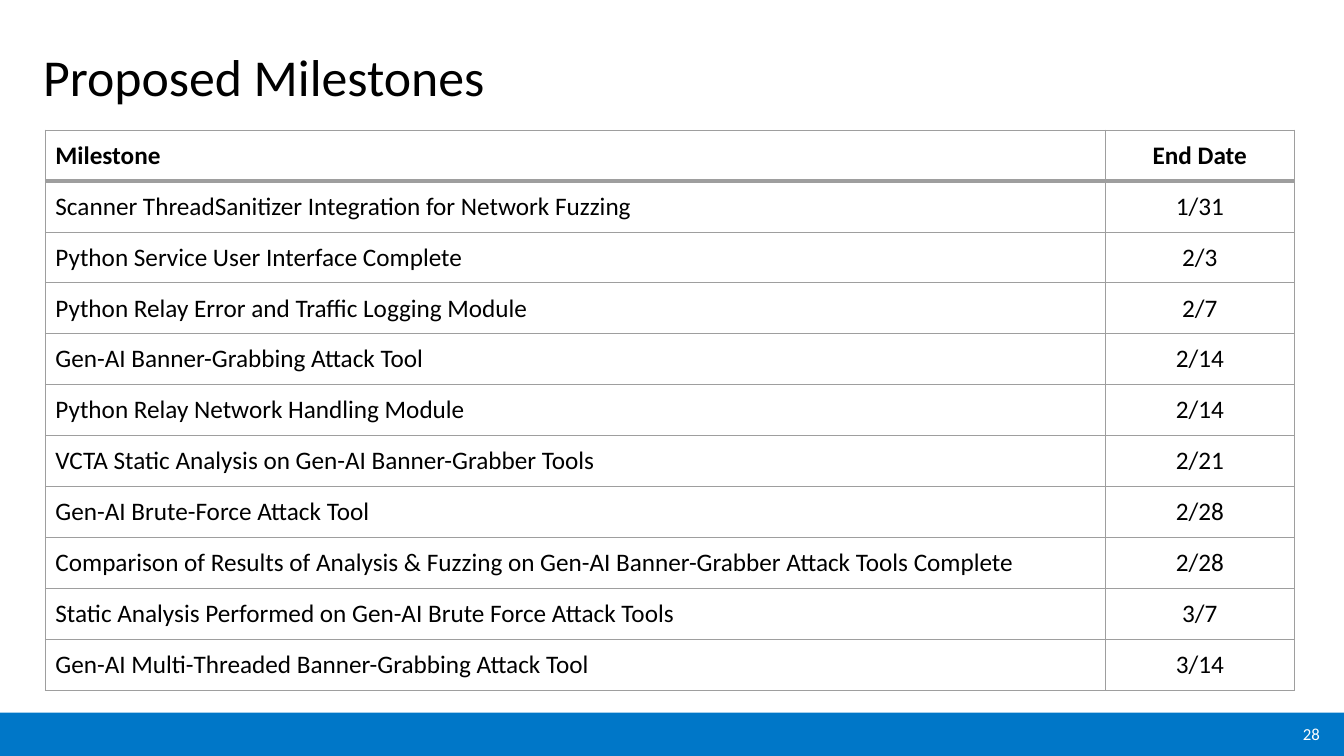
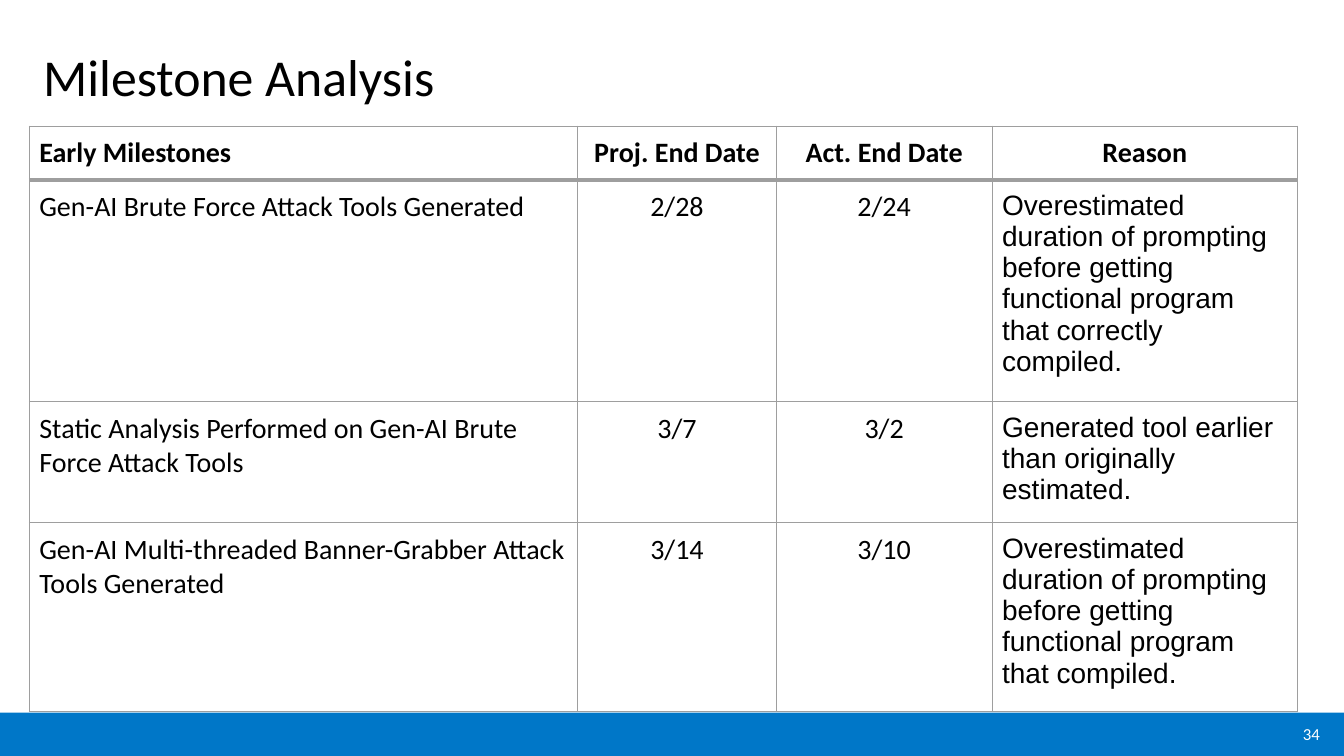
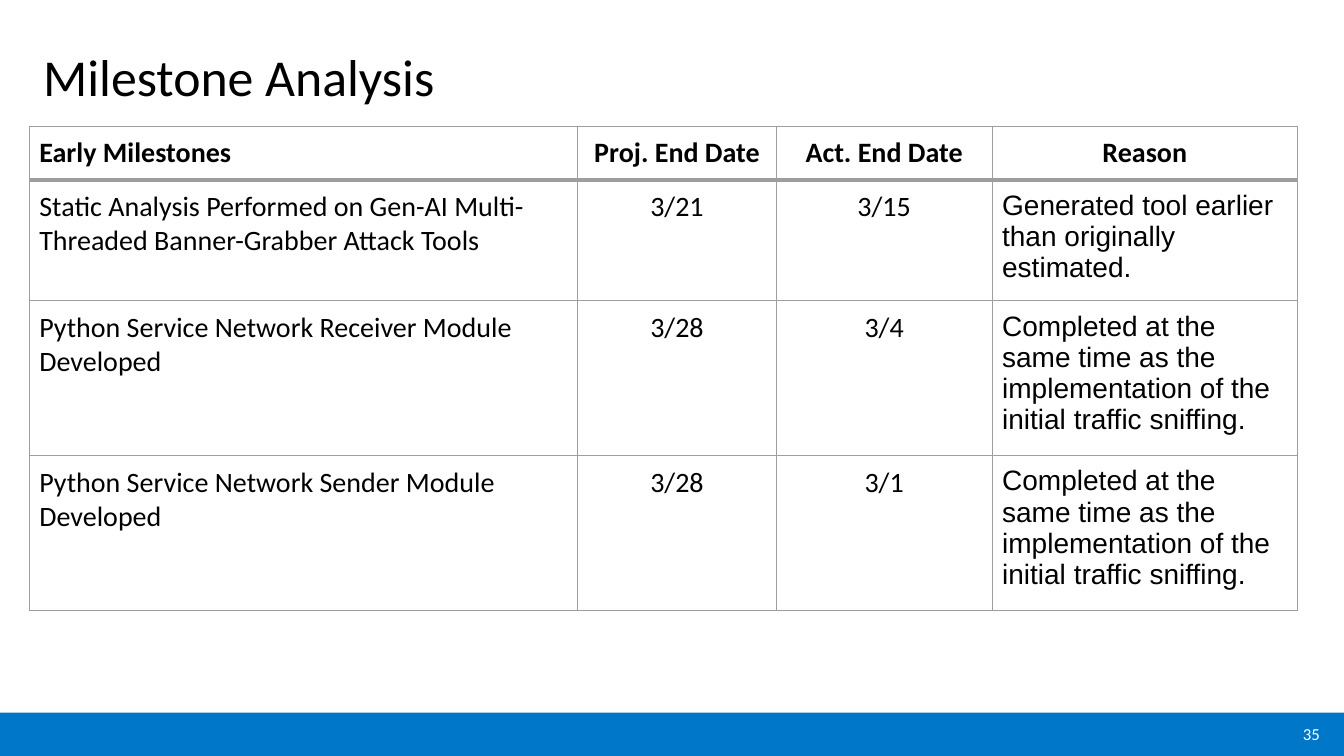
from dataclasses import dataclass
from typing import Any

from lxml.etree import SubElement
from pptx import Presentation
from pptx.dml.color import RGBColor
from pptx.enum.shapes import MSO_SHAPE
from pptx.enum.text import MSO_ANCHOR, PP_ALIGN
from pptx.oxml.ns import qn
from pptx.slide import Slide
from pptx.table import _Cell
from pptx.text.text import _Paragraph
from pptx.util import Inches, Pt


@dataclass(frozen=True)
class Theme:
    text: str = "000000"
    band: str = "0077C8"
    on_band: str = "FFFFFF"
    rule: str = "9E9E9E"
    font: str = "Calibri"
    reason_font: str = "Arial"
    title_size: float = 37
    number_size: float = 12
    thin_rule: float = 0.75
    header_rule: float = 3
    cell_margin: float = 0.1


THEME = Theme()


@dataclass(frozen=True)
class Column:
    heading: str
    width: float
    heading_align: PP_ALIGN = PP_ALIGN.CENTER
    body_align: PP_ALIGN = PP_ALIGN.CENTER
    body_font: str = THEME.font


@dataclass(frozen=True)
class TableLayout:
    left: float
    top: float
    size: float
    columns: tuple[Column, ...]


@dataclass(frozen=True)
class MilestoneSlide:
    title: str
    number: int
    layout: TableLayout
    row_heights: tuple[float, ...]
    rows: tuple[tuple[str, ...], ...]


PROPOSED = TableLayout(0.45, 1.29, 18, (
    Column("Milestone", 10.51, PP_ALIGN.LEFT, PP_ALIGN.LEFT),
    Column("End Date", 1.88),
))
ANALYSIS = TableLayout(0.29, 1.25, 20, (
    Column("Early Milestones", 5.44, PP_ALIGN.LEFT, PP_ALIGN.LEFT),
    Column("Proj. End Date", 1.97),
    Column("Act. End Date", 2.14),
    Column("Reason", 3.03, body_align=PP_ALIGN.LEFT, body_font=THEME.reason_font),
))

EARLIER_TOOL = "Generated tool earlier than originally estimated."
SAME_TIME = "Completed at the same time as the implementation of the initial traffic sniffing."

SLIDES = (
    MilestoneSlide("Proposed Milestones", 28, PROPOSED, (0.5,) * 11, (
        ("Scanner ThreadSanitizer Integration for Network Fuzzing", "1/31"),
        ("Python Service User Interface Complete", "2/3"),
        ("Python Relay Error and Traffic Logging Module", "2/7"),
        ("Gen-AI Banner-Grabbing Attack Tool", "2/14"),
        ("Python Relay Network Handling Module", "2/14"),
        ("VCTA Static Analysis on Gen-AI Banner-Grabber Tools", "2/21"),
        ("Gen-AI Brute-Force Attack Tool", "2/28"),
        ("Comparison of Results of Analysis & Fuzzing on Gen-AI Banner-Grabber "
         "Attack Tools Complete", "2/28"),
        ("Static Analysis Performed on Gen-AI Brute Force Attack Tools", "3/7"),
        ("Gen-AI Multi-Threaded Banner-Grabbing Attack Tool", "3/14"),
    )),
    MilestoneSlide("Milestone Analysis", 34, ANALYSIS, (0.53, 2.05, 1.13, 1.75), (
        ("Gen-AI Brute Force Attack Tools Generated", "2/28", "2/24",
         "Overestimated duration of prompting before getting functional program "
         "that correctly compiled."),
        ("Static Analysis Performed on Gen-AI Brute Force Attack Tools", "3/7", "3/2",
         EARLIER_TOOL),
        ("Gen-AI Multi-threaded Banner-Grabber Attack Tools Generated", "3/14", "3/10",
         "Overestimated duration of prompting before getting functional program "
         "that compiled."),
    )),
    MilestoneSlide("Milestone Analysis", 35, ANALYSIS, (0.53, 1.13, 1.44, 1.44), (
        ("Static Analysis Performed on Gen-AI Multi-Threaded Banner-Grabber Attack Tools",
         "3/21", "3/15", EARLIER_TOOL),
        ("Python Service Network Receiver Module Developed", "3/28", "3/4", SAME_TIME),
        ("Python Service Network Sender Module Developed", "3/28", "3/1", SAME_TIME),
    )),
)


def apply_format(target: Any, values: dict[str, Any]) -> None:
    for attribute, value in values.items():
        setattr(target, attribute, value)


def write(paragraph: _Paragraph, text: str, size: float, color: str = THEME.text,
          font: str = THEME.font, bold: bool = False,
          align: PP_ALIGN = PP_ALIGN.LEFT) -> None:
    paragraph.alignment = align
    run = paragraph.add_run()
    run.text = text
    apply_format(run.font, {"name": font, "size": Pt(size), "bold": bold})
    run.font.color.rgb = RGBColor.from_string(color)


def add_label(slide: Slide, left: float, top: float, width: float,
              height: float) -> _Paragraph:
    """Add a vertically centred text box and return its first paragraph."""
    frame = slide.shapes.add_textbox(
        Inches(left), Inches(top), Inches(width), Inches(height)).text_frame
    apply_format(frame, {"word_wrap": True, "vertical_anchor": MSO_ANCHOR.MIDDLE})
    return frame.paragraphs[0]


def add_frame(slide: Slide, title: str, number: int) -> None:
    """Draw the title, bottom band and slide number."""
    heading = add_label(slide, 0.33, 0.34, 12.5, 0.91)
    heading.line_spacing = 0.9
    write(heading, title, THEME.title_size)
    band = slide.shapes.add_shape(
        MSO_SHAPE.RECTANGLE, 0, Inches(7.07), Inches(13.33), Inches(0.43))
    band.shadow.inherit = False
    band.fill.solid()
    band.fill.fore_color.rgb = RGBColor.from_string(THEME.band)
    band.line.fill.background()
    write(add_label(slide, 12.69, 7.14, 0.5, 0.28), str(number), THEME.number_size,
          THEME.on_band, align=PP_ALIGN.RIGHT)


def set_borders(cell: _Cell, row: int) -> None:
    properties = cell._tc.get_or_add_tcPr()
    widths = {"L": THEME.thin_rule, "R": THEME.thin_rule,
              "T": THEME.header_rule if row == 1 else THEME.thin_rule,
              "B": THEME.header_rule if row == 0 else THEME.thin_rule}
    for side, width in widths.items():
        border = SubElement(properties, qn(f"a:ln{side}"), w=str(Pt(width)))
        fill = SubElement(border, qn("a:solidFill"))
        SubElement(fill, qn("a:srgbClr"), val=THEME.rule)


def add_milestones(slide: Slide, content: MilestoneSlide) -> None:
    layout = content.layout
    rows = (tuple(column.heading for column in layout.columns), *content.rows)
    table = slide.shapes.add_table(
        len(rows), len(layout.columns), Inches(layout.left), Inches(layout.top),
        Inches(sum(column.width for column in layout.columns)),
        Inches(sum(content.row_heights))).table
    apply_format(table, {"first_row": False, "horz_banding": False})
    for grid_column, column in zip(table.columns, layout.columns):
        grid_column.width = Inches(column.width)
    margin = Inches(THEME.cell_margin)
    margins = {f"margin_{side}": margin for side in ("left", "top", "right", "bottom")}
    for r, (texts, height) in enumerate(zip(rows, content.row_heights)):
        table.rows[r].height = Inches(height)
        header = r == 0
        for c, (text, column) in enumerate(zip(texts, layout.columns)):
            cell = table.cell(r, c)
            apply_format(cell, margins)
            set_borders(cell, r)
            cell.fill.background()
            write(cell.text_frame.paragraphs[0], text, layout.size,
                  font=THEME.font if header else column.body_font, bold=header,
                  align=column.heading_align if header else column.body_align)


def main() -> None:
    deck = Presentation()
    apply_format(deck, {"slide_width": Inches(13.33), "slide_height": Inches(7.5)})
    for content in SLIDES:
        slide = deck.slides.add_slide(deck.slide_layouts[6])
        add_milestones(slide, content)
        add_frame(slide, content.title, content.number)
    deck.save("out.pptx")


if __name__ == "__main__":
    main()
